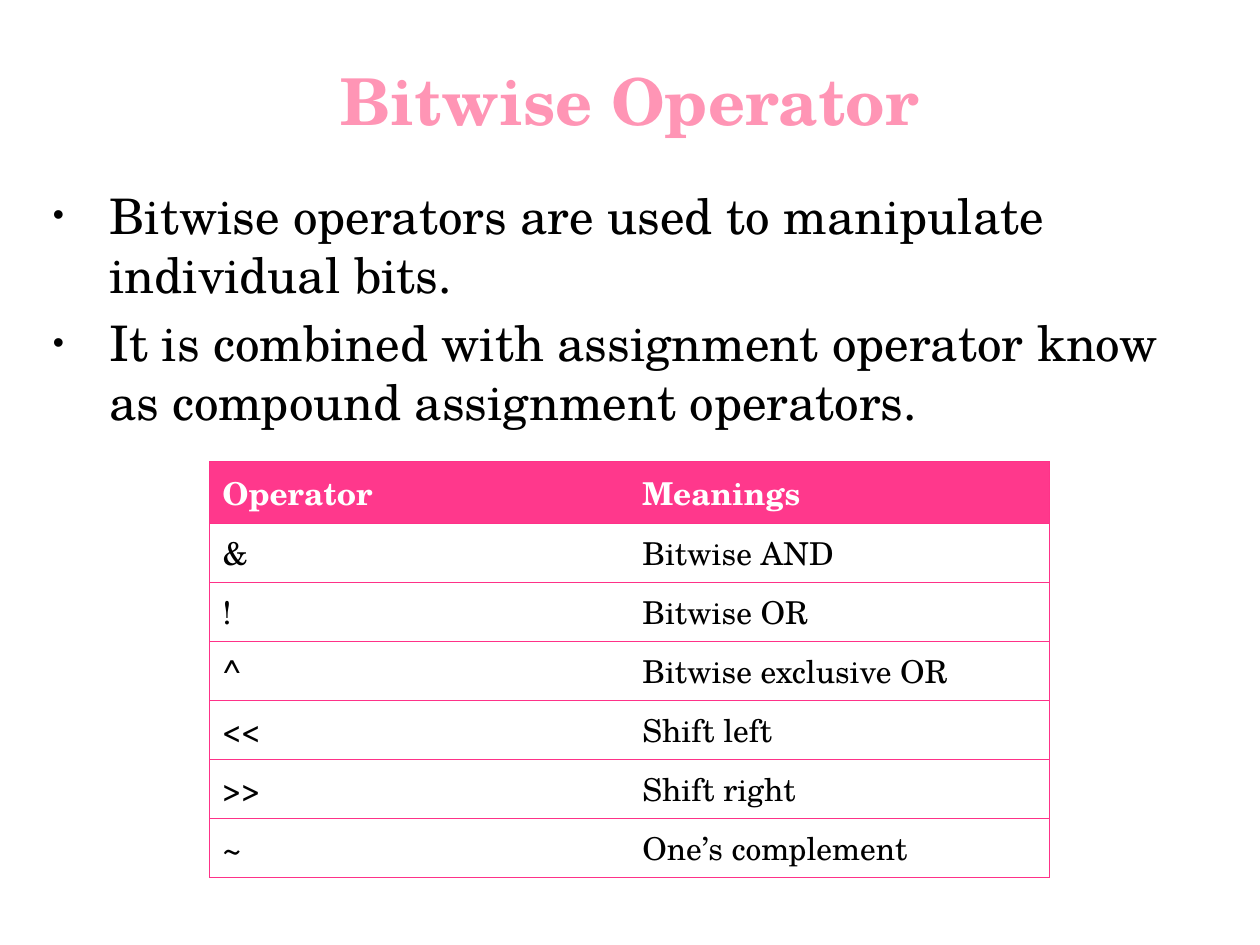
"""Build the Bitwise Operator slide with its bullets and operator table."""
from lxml.etree import SubElement
from pptx import Presentation
from pptx.dml.color import RGBColor
from pptx.enum.text import MSO_ANCHOR, MSO_AUTO_SIZE, PP_ALIGN
from pptx.oxml import parse_xml
from pptx.oxml.ns import nsdecls, qn
from pptx.util import Cm, Pt

FONT = "TeX Gyre Schola"
TITLE_PINK = RGBColor(0xFF, 0x95, 0xB5)
HEADER_PINK = RGBColor(0xFF, 0x38, 0x8C)
BORDER_PINK = RGBColor(0xFE, 0x32, 0x88)
BLACK = RGBColor(0, 0, 0)
WHITE = RGBColor(0xFF, 0xFF, 0xFF)

BULLETS = [
    "Bitwise operators are used to manipulate individual bits.",
    "It is combined with assignment operator know as compound assignment operators.",
]
OPERATORS = [
    ("Operator", "Meanings"),
    ("&", "Bitwise AND"),
    ("!", "Bitwise OR"),
    ("^", "Bitwise exclusive OR"),
    ("<<", "Shift left"),
    (">>", "Shift right"),
    ("~", "One’s complement"),
]


def format_text(paragraph, color, **values):
    paragraph.font.color.rgb = color
    for name, value in {"name": FONT, **values}.items():
        setattr(paragraph.font, name, value)


def place(shape, **lengths):
    for name, value in lengths.items():
        setattr(shape, name, Cm(value))


presentation = Presentation()
presentation.slide_width = Cm(25.4)
presentation.slide_height = Cm(19.05)
slide = presentation.slides.add_slide(presentation.slide_layouts[1])

title = slide.shapes.title
place(title, left=1.27, top=1.27, width=22.86, height=1.47)
title.text_frame.text = "Bitwise Operator"
title.text_frame.auto_size = MSO_AUTO_SIZE.NONE
title.text_frame.vertical_anchor = MSO_ANCHOR.MIDDLE
title_paragraph = title.text_frame.paragraphs[0]
title_paragraph.alignment = PP_ALIGN.CENTER
format_text(title_paragraph, TITLE_PINK, size=Pt(36.9), bold=True)

body = slide.placeholders[1]
place(body, left=0.43, top=3.61, width=23.7, height=14.6)
body.text_frame.text = "\n".join(BULLETS)
body.text_frame.auto_size = MSO_AUTO_SIZE.NONE
for paragraph in body.text_frame.paragraphs:
    format_text(paragraph, BLACK, size=Pt(28))
    paragraph.space_before = Pt(5.6)
    properties = paragraph._p.get_or_add_pPr()
    properties.set("marL", str(Cm(1.52)))
    properties.set("indent", str(Cm(-1.14)))
    bullet_color = SubElement(properties, qn("a:buClr"))
    SubElement(bullet_color, qn("a:srgbClr"), val=str(BLACK))
    SubElement(properties, qn("a:buSzPct"), val="65000")
    SubElement(properties, qn("a:buFont"), typeface="Arial")
    SubElement(properties, qn("a:buChar"), char="•")

table = slide.shapes.add_table(
    len(OPERATORS), 2, Cm(4.23), Cm(9.31), Cm(16.93), Cm(8.38)
).table
for row_index, labels in enumerate(OPERATORS):
    header = row_index == 0
    table.rows[row_index].height = Cm(1.24 if header else 1.19)
    for column_index, label in enumerate(labels):
        cell = table.cell(row_index, column_index)
        cell.text = label
        cell.vertical_anchor = MSO_ANCHOR.MIDDLE
        format_text(cell.text_frame.paragraphs[0], WHITE if header else BLACK,
                    size=Pt(18), bold=header)
        outer_side = "lnR" if column_index else "lnL"
        for side in (outer_side, "lnT", "lnB"):
            cell._tc.get_or_add_tcPr().append(parse_xml(
                f'<a:{side} {nsdecls("a")} w="{Pt(0.75)}"><a:solidFill>'
                f'<a:srgbClr val="{BORDER_PINK}"/></a:solidFill></a:{side}>'))
        if header:
            cell.fill.solid()
            cell.fill.fore_color.rgb = HEADER_PINK
        else:
            cell.fill.background()
        inner_side = "lnL" if column_index else "lnR"
        inner_line = parse_xml(
            f'<a:{inner_side} {nsdecls("a")} w="0"><a:noFill/></a:{inner_side}>')
        cell._tc.tcPr.insert(1 - column_index, inner_line)

presentation.save("out.pptx")
